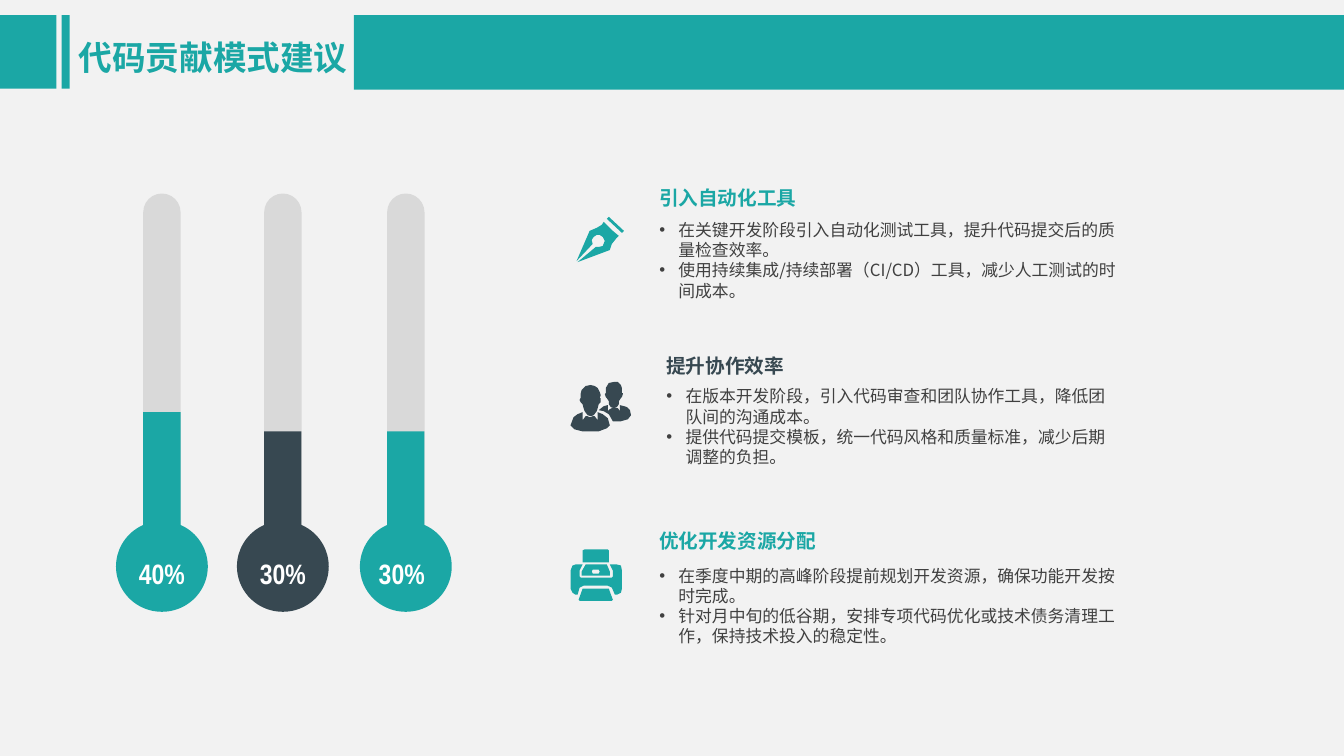
from lxml import etree
from pptx import Presentation
from pptx.dml.color import RGBColor
from pptx.enum.shapes import MSO_SHAPE
from pptx.enum.text import MSO_ANCHOR, MSO_AUTO_SIZE, PP_ALIGN
from pptx.oxml.ns import qn
from pptx.util import Inches, Pt

RECTANGLE, OVAL = MSO_SHAPE.RECTANGLE, MSO_SHAPE.OVAL
ROUND_TOP = MSO_SHAPE.ROUND_2_SAME_RECTANGLE
TOP, MIDDLE = MSO_ANCHOR.TOP, MSO_ANCHOR.MIDDLE
LEFT, CENTER = PP_ALIGN.LEFT, PP_ALIGN.CENTER
WIDTH, HEIGHT = Inches(13.33), Inches(7.5)
COMPARISON_LAYOUT = 4
SANS, NARROW = "Noto Sans CJK SC", "Arial Narrow"
TEAL, SLATE, GREY = "1BA7A5", "374851", "D9D9D9"
PAPER, INK, WHITE = "F2F2F2", "404040", "FFFFFF"
ICON_UNIT = WIDTH * 0.00075

PEN = [
    [(36, 14), (27, 5), (25, 8), (20, 11), (13, 14), (0, 44), (16, 27), (15, 23),
     (17, 20), (20, 18.5), (23, 18.5), (26, 20), (27.5, 24.5), (26, 29), (22, 30.5),
     (19, 30), (1, 45), (33, 33), (35, 27), (39, 22), (42, 19)],
    [(32, 0), (47, 14), (45, 16), (30, 2)],
]
PEOPLE = [
    [(32, 32), (27, 30), (27, 38), (24.5, 34.5), (22, 34), (20, 35), (19, 35),
     (17, 34), (15, 34.5), (12, 38), (12, 30), (7, 32), (3, 35), (0, 43), (4, 47),
     (12, 49), (28, 49), (36, 46.5), (39, 43), (37, 36)],
    [(30, 18), (30, 16), (29, 16), (30, 13), (29, 10), (27, 6), (24, 4), (20, 3),
     (15, 4), (11, 8), (9.5, 12), (10, 16), (9, 18), (10, 20), (12, 22), (13, 26),
     (14, 29), (17, 33), (20, 34), (23, 33), (26, 29), (27, 26), (28, 22), (30, 20)],
    [(52, 12), (52, 11), (51, 11), (51, 6), (50, 3), (47, 0), (43, 0), (38, 1),
     (35, 6), (35, 11), (34, 12), (35, 15), (36, 16), (38, 19), (38, 22), (40, 25),
     (43, 26), (46, 25), (48, 22), (48, 19), (50, 16), (51, 15)],
    [(60, 33), (59, 28), (56, 25), (53, 24), (49, 23), (49, 29), (47, 26.5),
     (45, 26), (41, 26), (39, 27), (37, 29), (37, 23), (33, 24), (28, 28), (33, 29),
     (38, 32), (42, 39), (50, 39), (57, 37)],
]
PRINTER = [
    [(12, 13), (12, 1), (14, 0), (37, 0), (38, 1), (38, 13)],
    [(13, 39), (38, 39), (42, 50), (41, 51), (9, 51), (8, 50), (12, 39)],
    [(11, 22), (11, 26), (39, 26), (39, 22), (36, 15), (15, 15)],
    [(25, 20), (28, 20.5), (29, 22), (28, 23.5), (25, 24), (22, 23.5), (21, 22),
     (22, 20.5)],
    [(46, 15), (39, 15), (42, 21), (42, 27), (41, 28), (10, 28), (9, 27), (9, 21),
     (12, 15), (5, 15), (1.5, 16.5), (0, 21), (0, 39), (1.5, 43), (5, 45), (7, 45),
     (9, 38), (13, 36), (37, 36), (41, 38), (44, 45), (46, 45), (49.5, 43), (51, 39),
     (51, 21), (49.5, 16.5)],
]

BANDS = [(0, 2, 4.2, 9.73), (4.58, 2, 0.6, 9.73), (26.33, 2, 73.67, 9.87)]
THERMOMETERS = [
    ("40%", 8.63, 18.67, 0.3, TEAL),
    ("30%", 17.63, 16.13, 0.3, SLATE),
    ("30%", 26.78, 16.13, 0.6, TEAL),
]
SECTIONS = [
    ("引入自动化工具", (48.3, 22.4, 35.85, 18.13), TEAL, PEN, (42.9, 28.67),
     ["在关键开发阶段引入自动化测试工具，提升代码提交后的质量检查效率。",
      "使用持续集成/持续部署（CI/CD）工具，减少人工测试的时间成本。"]),
    ("提升协作效率", (48.83, 44.53, 35.33, 18), SLATE, PEOPLE, (42.45, 50.53),
     ["在版本开发阶段，引入代码审查和团队协作工具，降低团队间的沟通成本。",
      "提供代码提交模板，统一代码风格和质量标准，减少后期调整的负担。"]),
    ("优化开发资源分配", (48.3, 67.73, 35.85, 18.53), TEAL, PRINTER, (42.45, 72.67),
     ["在季度中期的高峰阶段提前规划开发资源，确保功能开发按时完成。",
      "针对月中旬的低谷期，安排专项代码优化或技术债务清理工作，保持技术投入的稳定性。"]),
]


def color(hex_string):
    """Turn a hex string into a colour."""
    return RGBColor.from_string(hex_string)


def area(left, top, width, height):
    """Turn percentages of the slide into lengths."""
    return (int(WIDTH * left / 100), int(HEIGHT * top / 100),
            int(WIDTH * width / 100), int(HEIGHT * height / 100))


def paint(shape, fill):
    """Give a shape a flat fill without line or shadow."""
    shape.shadow.inherit = False
    shape.fill.solid()
    shape.fill.fore_color.rgb = color(fill)
    shape.line.fill.background()
    return shape


def add_block(slide, kind, box, fill):
    """Add a flat preset shape."""
    return paint(slide.shapes.add_shape(kind, *area(*box)), fill)


def add_bullet(paragraph):
    """Give a paragraph a hanging round bullet."""
    properties = paragraph._p.get_or_add_pPr()
    properties.set("marL", str(Inches(0.19)))
    properties.set("indent", str(-Inches(0.19)))
    etree.SubElement(properties, qn("a:buFont"), typeface="Arial")
    etree.SubElement(properties, qn("a:buChar"), char="•")


def write_text(shape, lines, *, size, fill, font=SANS, bold=False, align=LEFT,
               anchor=TOP, spacing=1.0, bullets=False):
    """Write formatted paragraphs into a shape."""
    frame = shape.text_frame
    frame.word_wrap = True
    frame.auto_size = MSO_AUTO_SIZE.NONE
    frame.vertical_anchor = anchor
    for number, line in enumerate(lines):
        paragraph = frame.add_paragraph() if number else frame.paragraphs[0]
        paragraph.alignment = align
        paragraph.line_spacing = spacing
        paragraph.space_before = paragraph.space_after = Pt(0)
        if bullets:
            add_bullet(paragraph)
        run = paragraph.add_run()
        run.text = line
        run.font.name, run.font.size, run.font.bold = font, Pt(size), bold
        run.font.color.rgb = color(fill)
        etree.SubElement(run._r.get_or_add_rPr(), qn("a:ea"), typeface=font)


def add_label(slide, box, text, **text_format):
    """Add a text box with one line."""
    write_text(slide.shapes.add_textbox(*area(*box)), [text], **text_format)


def fill_placeholder(placeholder, box, lines, **text_format):
    """Move a placeholder and write its text."""
    (placeholder.left, placeholder.top,
     placeholder.width, placeholder.height) = area(*box)
    write_text(placeholder, lines, **text_format)


def add_icon(slide, position, outlines, fill):
    """Draw an icon from closed outlines at a position."""
    first, *others = outlines
    builder = slide.shapes.build_freeform(*first[0], scale=ICON_UNIT)
    builder.add_line_segments(first[1:], close=True)
    for outline in others:
        builder.move_to(*outline[0])
        builder.add_line_segments(outline[1:], close=True)
    left, top, _, _ = area(*position, 0, 0)
    paint(builder.convert_to_shape(left, top), fill)


def add_header(slide, box):
    """Place the bands and the title."""
    for band in BANDS:
        add_block(slide, RECTANGLE, band, TEAL)
    fill_placeholder(slide.shapes.title, box, ["代码贡献模式建议"], size=24, fill=TEAL,
                     bold=True, anchor=MIDDLE, spacing=1.2)


def add_thermometer(slide, box, text, level, label_shift, fill):
    """Place a tube, its level, its bulb and its label in a box."""
    left, top, width, height = box
    tube_width, tube_height, bulb_height = 2.78, 47.6, 12
    tube_left = left + (width - tube_width) / 2
    tube = add_block(slide, ROUND_TOP, (tube_left, top, tube_width, tube_height), GREY)
    tube.adjustments[0] = 0.5
    add_block(slide, RECTANGLE,
              (tube_left, top + tube_height - level, tube_width, level), fill)
    add_block(slide, OVAL, (left, top + height - bulb_height, width, bulb_height), fill)
    add_label(slide, (left - label_shift, top + 45.07, width + 0.6, 8), text, size=20,
              fill=WHITE, font=NARROW, bold=True, align=CENTER, spacing=1.5)


def add_section(slide, box, placeholder, heading, fill, points):
    """Place a heading and its list in a box."""
    left, top, width, height = box
    list_height = 12.13
    add_label(slide, (left, top, 15.98, 6), heading, size=14, fill=fill, bold=True,
              anchor=MIDDLE, spacing=1.5)
    fill_placeholder(placeholder, (left, top + height - list_height, width, list_height),
                     points, size=12, fill=INK, bullets=True)


def main():
    """Build and save the slide."""
    presentation = Presentation()
    presentation.slide_width, presentation.slide_height = WIDTH, HEIGHT
    slide = presentation.slides.add_slide(presentation.slide_layouts[COMPARISON_LAYOUT])
    slide.background.fill.solid()
    slide.background.fill.fore_color.rgb = color(PAPER)
    _, *bodies, spare = list(slide.placeholders)
    spare.element.getparent().remove(spare.element)
    add_header(slide, (5.1, 2.67, 23.4, 8.8))
    for text, left, level, label_shift, fill in THERMOMETERS:
        add_thermometer(slide, (left, 25.6, 6.83, 55.33), text, level, label_shift, fill)
    for body, (heading, box, fill, icon, position, points) in zip(bodies, SECTIONS):
        add_section(slide, box, body, heading, fill, points)
        add_icon(slide, position, icon, fill)
    presentation.save("out.pptx")


if __name__ == "__main__":
    main()
